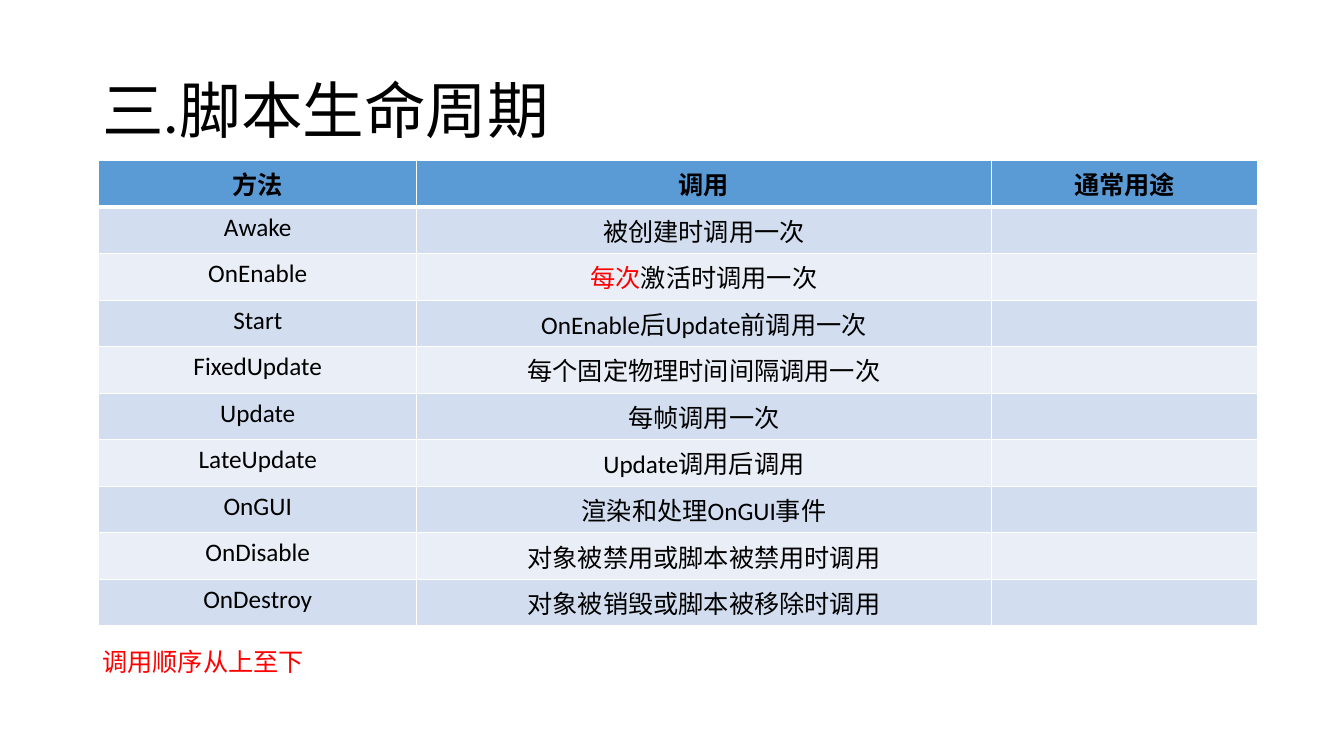
from lxml import etree
from pptx import Presentation
from pptx.dml.color import RGBColor
from pptx.enum.text import MSO_ANCHOR, PP_ALIGN
from pptx.oxml.ns import qn
from pptx.util import Pt

PX = 9525
SLIDE_SIZE = (1280, 720)
TITLE_BOX = (88, 38, 1104, 140)
METHODS_BOX = (94, 153, 1104, 443)
NOTE_BOX = (88, 611, 1092, 38)
COLUMN_WIDTHS = (303, 547, 254)

FONT = "Calibri"
BLACK = RGBColor(0x00, 0x00, 0x00)
RED = RGBColor(0xFF, 0x00, 0x00)
WHITE = RGBColor(0xFF, 0xFF, 0xFF)
HEADER_BLUE = RGBColor(0x5B, 0x9B, 0xD5)
BANDS = (RGBColor(0xEA, 0xEF, 0xF7), RGBColor(0xD2, 0xDE, 0xEF))
CENTER = PP_ALIGN.CENTER
LEFT = PP_ALIGN.LEFT
TOP = MSO_ANCHOR.TOP
MIDDLE = MSO_ANCHOR.MIDDLE

METHODS = (
    ("方法", "调用", "通常用途"),
    ("Awake", "被创建时调用一次", ""),
    ("OnEnable", (("每次", RED), ("激活时调用一次", BLACK)), ""),
    ("Start", "OnEnable后Update前调用一次", ""),
    ("FixedUpdate", "每个固定物理时间间隔调用一次", ""),
    ("Update", "每帧调用一次", ""),
    ("LateUpdate", "Update调用后调用", ""),
    ("OnGUI", "渲染和处理OnGUI事件", ""),
    ("OnDisable", "对象被禁用或脚本被禁用时调用", ""),
    ("OnDestroy", "对象被销毁或脚本被移除时调用", ""),
)


def emu(box):
    return [length * PX for length in box]


def write(frame, content, size=18, color=BLACK, bold=False, align=LEFT, spacing=None):
    paragraph = frame.paragraphs[0]
    paragraph.alignment = align
    paragraph.line_spacing = spacing
    if not content:
        paragraph.font.size = Pt(size)
        return
    pieces = ((content, color),) if isinstance(content, str) else content
    for words, words_color in pieces:
        run = paragraph.add_run()
        run.text = words
        run.font.name = FONT
        run.font.size = Pt(size)
        run.font.bold = bold
        run.font.color.rgb = words_color


def add_text(slide, box, content, anchor=TOP, **text_format):
    frame = slide.shapes.add_textbox(*emu(box)).text_frame
    frame.word_wrap = True
    frame.vertical_anchor = anchor
    write(frame, content, **text_format)


def set_borders(cell, widths):
    properties = cell._tc.get_or_add_tcPr()
    for position, (side, width) in enumerate(widths.items()):
        line = etree.Element(qn(f"a:ln{side}"), w=str(Pt(width)))
        fill = etree.SubElement(line, qn("a:solidFill"))
        etree.SubElement(fill, qn("a:srgbClr"), val=str(WHITE))
        properties.insert(position, line)


def add_methods(slide, box):
    table = slide.shapes.add_table(len(METHODS), len(COLUMN_WIDTHS), *emu(box)).table
    for column, width in zip(table.columns, COLUMN_WIDTHS):
        column.width = width * PX
    for row, entries in enumerate(METHODS):
        header = row == 0
        for column, entry in enumerate(entries):
            cell = table.cell(row, column)
            cell.fill.solid()
            cell.fill.fore_color.rgb = HEADER_BLUE if header else BANDS[row % 2]
            top = 3 if row == 1 else 1
            bottom = 3 if header else 1
            set_borders(cell, {"L": 1, "R": 1, "T": top, "B": bottom})
            write(cell.text_frame, entry, bold=header, align=CENTER)


def main():
    deck = Presentation()
    deck.slide_width, deck.slide_height = emu(SLIDE_SIZE)
    slide = deck.slides.add_slide(deck.slide_layouts[6])
    add_text(slide, TITLE_BOX, "三.脚本生命周期", anchor=MIDDLE, size=44, spacing=0.9)
    add_methods(slide, METHODS_BOX)
    add_text(slide, NOTE_BOX, "调用顺序从上至下", color=RED)
    deck.save("out.pptx")


if __name__ == "__main__":
    main()
